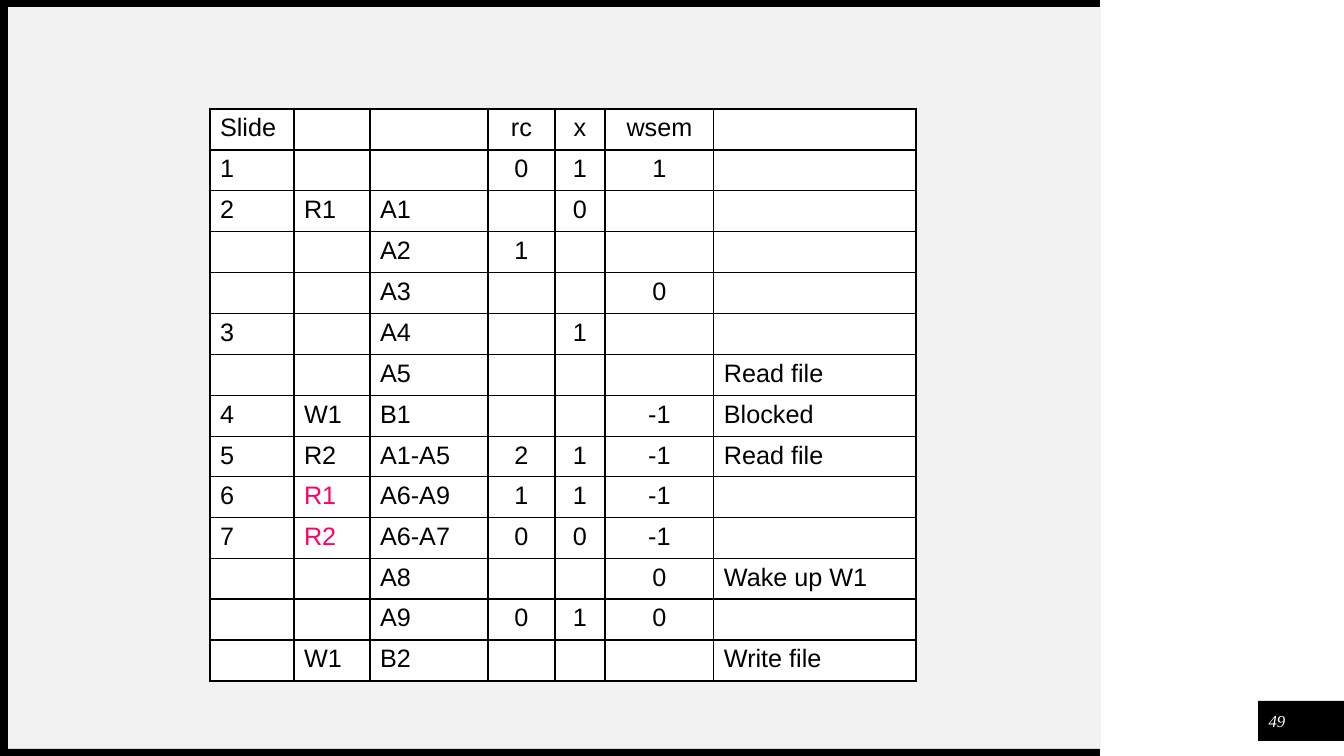
from dataclasses import dataclass

from lxml.etree import SubElement
from pptx import Presentation
from pptx.dml.color import RGBColor
from pptx.enum.shapes import MSO_SHAPE
from pptx.enum.text import MSO_ANCHOR, PP_ALIGN
from pptx.oxml.ns import qn
from pptx.util import Emu, Pt

BLACK = RGBColor(0x00, 0x00, 0x00)
WHITE = RGBColor(0xFF, 0xFF, 0xFF)
GREY = RGBColor(0xF2, 0xF2, 0xF2)
PINK = RGBColor(0xFF, 0x00, 0x66)

SCALE = 914400 / 100.8  # EMU in one px
THIN, THICK = 1, 2.25


@dataclass
class Block:
    left: int
    top: int
    width: int
    height: int
    fill: RGBColor


@dataclass
class Column:
    width: int
    align: PP_ALIGN = PP_ALIGN.LEFT


BLOCKS = [
    Block(8, 7, 1093, 742, GREY),        # panel
    Block(1258, 701, 86, 40, BLACK),     # number badge
    Block(0, 749, 1100, 7, BLACK),       # bottom edge
    Block(0, 0, 1100, 7, BLACK),         # top edge
    Block(0, 3, 8, 753, BLACK),          # left edge
    Block(1108, 688, 146, 59, WHITE),    # footer patch
]

COLUMNS = [
    Column(84),
    Column(76),
    Column(118),
    Column(67, PP_ALIGN.CENTER),
    Column(50, PP_ALIGN.CENTER),
    Column(109, PP_ALIGN.CENTER),
    Column(202),
]

ROWS = [
    ("Slide", "", "", "rc", "x", "wsem", ""),
    ("1", "", "", "0", "1", "1", ""),
    ("2", "R1", "A1", "", "0", "", ""),
    ("", "", "A2", "1", "", "", ""),
    ("", "", "A3", "", "", "0", ""),
    ("3", "", "A4", "", "1", "", ""),
    ("", "", "A5", "", "", "", "Read file"),
    ("4", "W1", "B1", "", "", "-1", "Blocked"),
    ("5", "R2", "A1-A5", "2", "1", "-1", "Read file"),
    ("6", "R1", "A6-A9", "1", "1", "-1", ""),
    ("7", "R2", "A6-A7", "0", "0", "-1", ""),
    ("", "", "A8", "", "", "0", "Wake up W1"),
    ("", "", "A9", "0", "1", "0", ""),
    ("", "W1", "B2", "", "", "", "Write file"),
]
LEAVING = {(9, 1), (10, 1)}  # readers on their way out
LEFT, TOP, HEIGHT = 210, 109, 565


def px(size: int) -> Emu:
    return Emu(round(size * SCALE))


def write(frame, text: str, *, font: str = "Arial", size: int = 18,
          color: RGBColor = BLACK, italic: bool = False,
          align: PP_ALIGN = PP_ALIGN.LEFT, before: int = 0) -> None:
    """Fill a frame with one line; before is a percentage of its height."""
    para = frame.paragraphs[0]
    para.alignment = align
    if before:
        space = SubElement(para._p.get_or_add_pPr(), qn("a:spcBef"))
        SubElement(space, qn("a:spcPct"), val=str(before * 1000))
    run = para.add_run()
    run.text = text
    run.font.name = font
    run.font.size = Pt(size)
    run.font.italic = italic
    run.font.color.rgb = color


def draw_block(slide, block: Block) -> None:
    shape = slide.shapes.add_shape(
        MSO_SHAPE.RECTANGLE, px(block.left), px(block.top),
        px(block.width), px(block.height))
    shape.shadow.inherit = False
    shape.fill.solid()
    shape.fill.fore_color.rgb = block.fill
    shape.line.fill.background()


def draw_edges(cell, row: int, col: int) -> None:
    """Thick lines run round the table and under its header."""
    heavy = {
        "L": col == 0,
        "R": col == len(COLUMNS) - 1,
        "T": row <= 1,
        "B": row in (0, len(ROWS) - 1),
    }
    props = cell._tc.get_or_add_tcPr()
    for side, thick in heavy.items():
        width = Pt(THICK if thick else THIN)
        line = SubElement(props, qn(f"a:ln{side}"), w=str(width))
        fill = SubElement(line, qn("a:solidFill"))
        SubElement(fill, qn("a:srgbClr"), val=str(BLACK))


def draw_table(slide) -> None:
    count = len(ROWS)
    width = sum(column.width for column in COLUMNS)
    table = slide.shapes.add_table(
        count, len(COLUMNS), px(LEFT), px(TOP), px(width), px(HEIGHT)).table
    table.first_row = False
    table.horz_banding = False
    for col, column in enumerate(COLUMNS):
        table.columns[col].width = px(column.width)
    for row, texts in enumerate(ROWS):
        # Whole px that still add up to the full height
        start, end = (round(n * HEIGHT / count) for n in (row, row + 1))
        table.rows[row].height = px(end - start)
        for col, text in enumerate(texts):
            cell = table.cell(row, col)
            draw_edges(cell, row, col)
            cell.fill.solid()
            cell.fill.fore_color.rgb = WHITE
            if text:
                color = PINK if (row, col) in LEAVING else BLACK
                write(cell.text_frame, text, color=color,
                      align=COLUMNS[col].align, before=20)


def draw_number(slide) -> None:
    frame = slide.shapes.add_textbox(
        px(1262), px(706), px(30), px(30)).text_frame
    frame.word_wrap = True
    frame.vertical_anchor = MSO_ANCHOR.MIDDLE
    frame.margin_left = frame.margin_right = 0
    frame.margin_top = frame.margin_bottom = 0
    write(frame, "49", font="Times New Roman", size=12, color=WHITE,
          italic=True, align=PP_ALIGN.CENTER)


def main() -> None:
    deck = Presentation()
    deck.slide_width, deck.slide_height = px(1344), px(756)
    slide = deck.slides.add_slide(deck.slide_layouts[6])
    for block in BLOCKS:
        draw_block(slide, block)
    draw_table(slide)
    draw_number(slide)
    deck.save("out.pptx")


if __name__ == "__main__":
    main()
